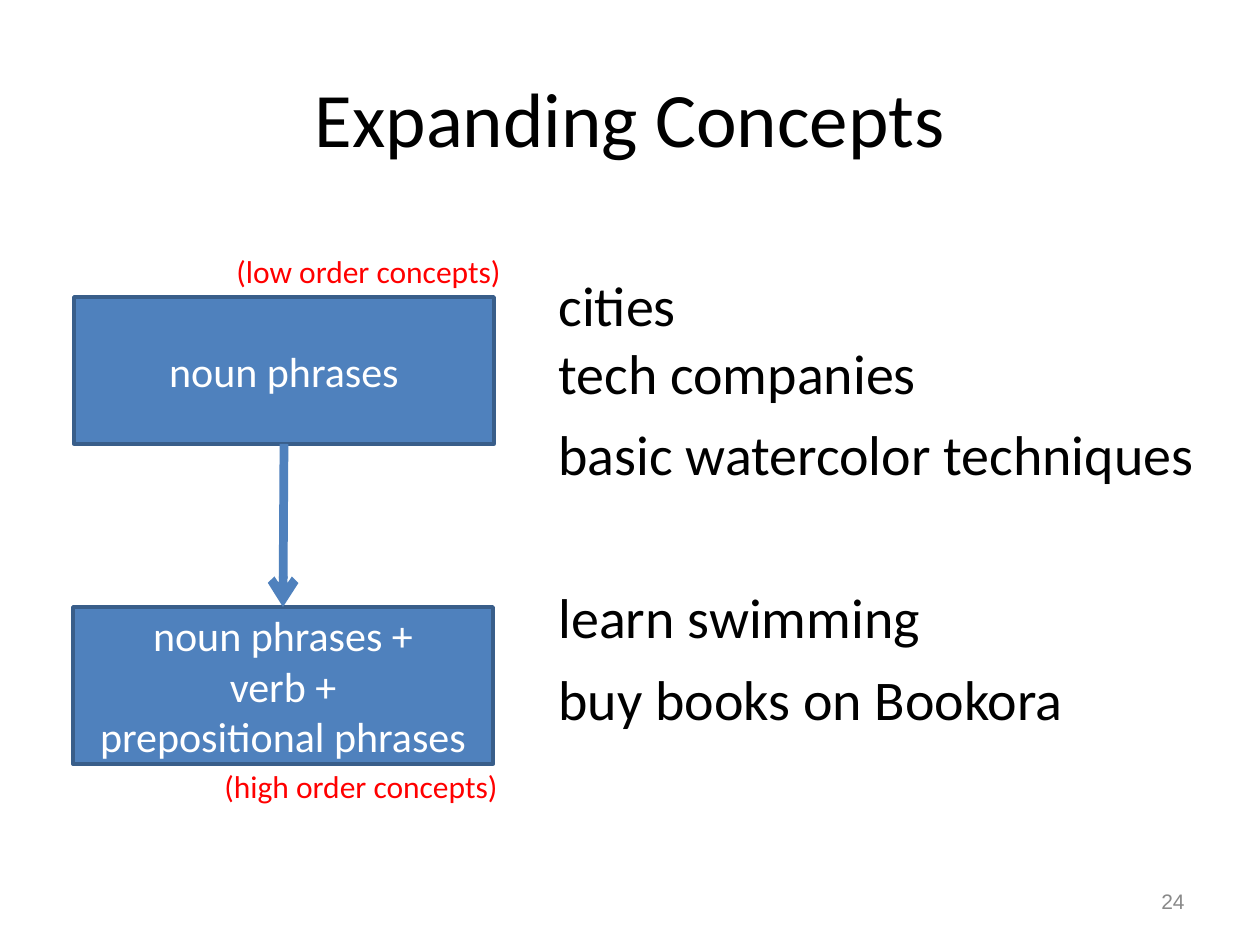
from pptx import Presentation
from pptx.dml.color import RGBColor
from pptx.enum.shapes import MSO_CONNECTOR, MSO_SHAPE
from pptx.enum.text import MSO_ANCHOR as ANCHOR, PP_ALIGN as ALIGN
from pptx.oxml.ns import qn
from pptx.util import Emu, Pt
from lxml.etree import SubElement

PX_PER_INCH = 126
BLUE, DARK_BLUE, RED = "4F81BD", "395E8A", "FF0000"
BLACK, WHITE, GREY = "000000", "FFFFFF", "898989"


def px(n):
    return Emu(round(n * 914400 / PX_PER_INCH))


def rgb(value):
    return RGBColor.from_string(value)


def write(sp, lines, size, color, align=ALIGN.LEFT, font="Calibri", gaps=None, **frame):
    """Fill a shape, one paragraph a line; gaps are points before each line."""
    tf = sp.text_frame
    for name, value in {"word_wrap": True, **frame}.items():
        setattr(tf, name, value)
    for i, line in enumerate(lines):
        p = tf.paragraphs[0] if i == 0 else tf.add_paragraph()
        p.text = line
        p.alignment = align
        if gaps:
            p.space_before = Pt(gaps[i])
        for r in p.runs:
            for name, value in {"size": Pt(size), "name": font}.items():
                setattr(r.font, name, value)
            r.font.color.rgb = rgb(color)


def add_text(s, box, lines, size, color, **style):
    write(s.shapes.add_textbox(*map(px, box)), lines, size, color, **style)


def add_box(s, box, lines):
    sp = s.shapes.add_shape(MSO_SHAPE.RECTANGLE, *map(px, box))
    sp.shadow.inherit = False
    sp.fill.solid()
    sp.fill.fore_color.rgb = rgb(BLUE)
    sp.line.color.rgb = rgb(DARK_BLUE)
    sp.line.width = Pt(2)
    write(sp, lines, 24, WHITE, align=ALIGN.CENTER, vertical_anchor=ANCHOR.MIDDLE)
    return sp


def add_arrow(s, upper, lower):
    arrow = s.shapes.add_connector(MSO_CONNECTOR.STRAIGHT, 0, 0, 0, 0)
    arrow.begin_connect(upper, 2)
    arrow.end_connect(lower, 0)
    arrow.line.color.rgb = rgb(BLUE)
    arrow.line.width = Pt(5)
    SubElement(arrow.line._get_or_add_ln(), qn("a:tailEnd"), type="arrow")
    SubElement(arrow._element.spPr, qn("a:effectLst"))


def main():
    prs = Presentation()
    prs.slide_width, prs.slide_height = px(1260), px(945)
    s = prs.slides.add_slide(prs.slide_layouts[6])

    add_text(s, (63, 38, 1134, 157), ["Expanding Concepts"], 44, BLACK,
             align=ALIGN.CENTER, vertical_anchor=ANCHOR.MIDDLE)
    examples = ["cities\vtech companies", "basic watercolor techniques",
                "learn swimming", "buy books on Bookora"]
    add_text(s, (546, 199, 672, 640), examples, 32, BLACK,
             gaps=(0, 8, 55, 8), margin_top=px(72))

    low = add_box(s, (74, 297, 420, 147), ["noun phrases"])
    high = add_box(s, (73, 607, 420, 157),
                   ["noun phrases +", "verb +", "prepositional phrases"])
    add_arrow(s, low, high)

    add_text(s, (212, 761, 299, 50), ["(high order concepts)"], 18, RED, word_wrap=False)
    add_text(s, (224, 246, 290, 50), ["(low order concepts)"], 18, RED, word_wrap=False)
    add_text(s, (903, 876, 294, 50), ["24"], 12, GREY, font="Arial",
             align=ALIGN.RIGHT, vertical_anchor=ANCHOR.MIDDLE)
    prs.save("out.pptx")


if __name__ == "__main__":
    main()
